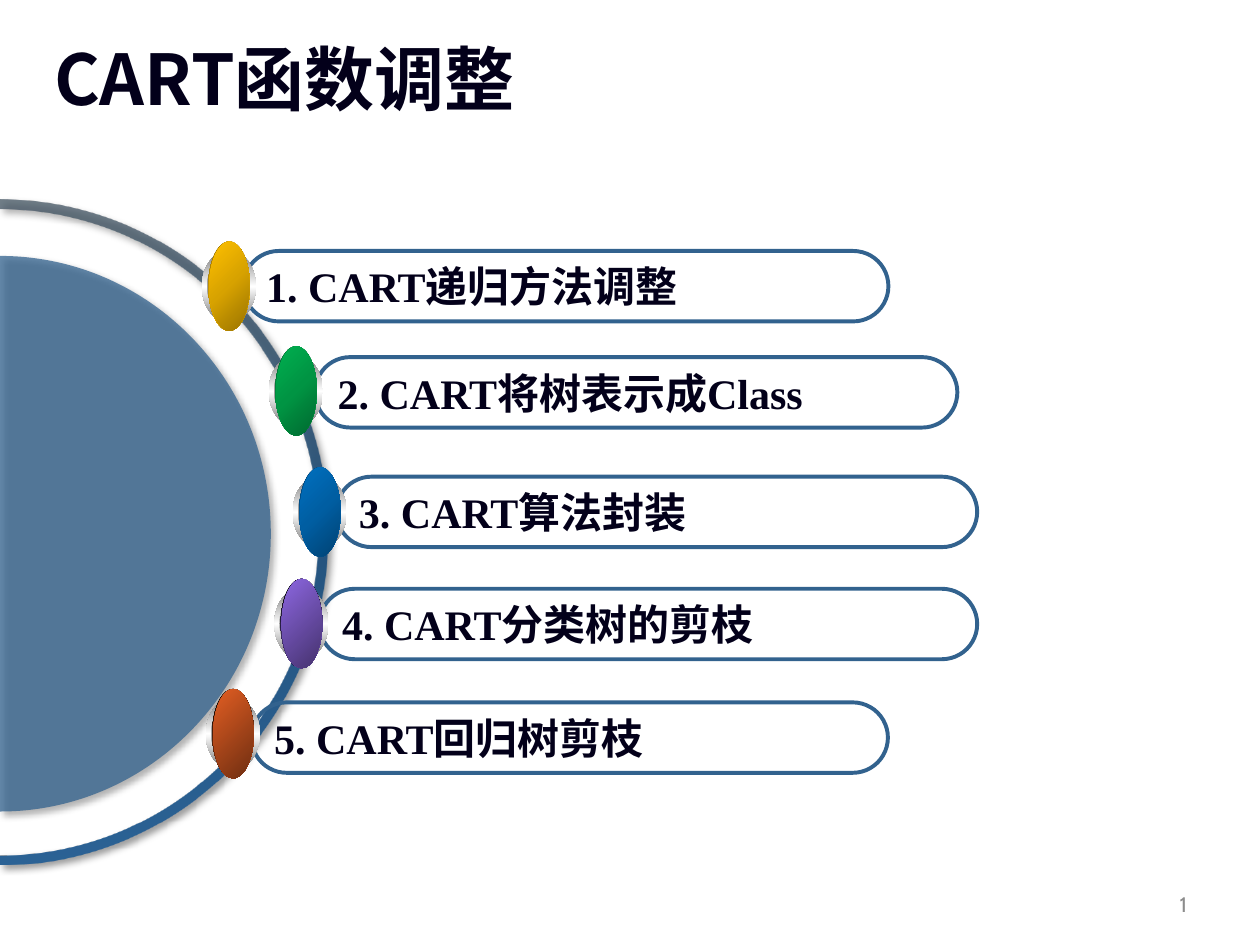
from lxml.etree import SubElement
from pptx import Presentation
from pptx.dml.color import RGBColor
from pptx.enum.shapes import MSO_SHAPE as SHAPE
from pptx.enum.text import MSO_ANCHOR as ANCHOR, PP_ALIGN as ALIGN
from pptx.oxml.ns import qn
from pptx.util import Cm, Pt

COLORS = {
    "text": "03001A", "number": "8C8C8C", "line": "32628E", "shadow": "000000",
    "ring_top": "445462", "ring_mid": "24537D", "ring_end": "2B6295",
    "rim": "767676", "bevel": "A2A2A2", "shine": "FFFFFF", "black": "000000",
}
CJK = "Noto Sans CJK SC"
SERIF = "Times New Roman"
KAPPA = 0.5523  # handle length of a quarter ellipse

# text, pill (left, top, width), knob (left, top), knob colours dark to bright
ITEMS = [
    ("1. CART递归方法调整", (4.91, 5.06, 13), (4.07, 5.05), ("977200", "D7A200", "FFC000")),
    ("2. CART将树表示成Class", (6.35, 7.2, 12.95), (5.42, 7.16), ("00682F", "009443", "00B050")),
    ("3. CART算法封装", (6.78, 9.61, 12.92), (5.9, 9.6), ("004272", "005EA2", "0070C0")),
    ("4. CART分类树的剪枝", (6.44, 11.87, 13.26), (5.53, 11.85), ("45326D", "8D67E1")),
    ("5. CART回归树剪枝", (5.07, 14.16, 12.83), (4.15, 14.07), ("6E2E11", "E35E23")),
]


def add_color(parent, color, alpha=100):
    clr = SubElement(parent, qn("a:srgbClr"), val=color)
    if alpha < 100:
        SubElement(clr, qn("a:alpha"), val=str(alpha * 1000))


def plain(sp):
    sp.shadow.inherit = False
    sp.fill.background()
    sp.line.fill.background()


def set_gradient(sp, colors, angle=None, alphas=(100, 100, 100)):
    """Spread colours evenly; without an angle they radiate from bottom right."""
    sp.fill.gradient()
    grad = sp._element.spPr.find(qn("a:gradFill"))
    for child in list(grad):
        grad.remove(child)
    stops = SubElement(grad, qn("a:gsLst"))
    for i, (color, alpha) in enumerate(zip(colors, alphas)):
        pos = 100000 * i // (len(colors) - 1)
        add_color(SubElement(stops, qn("a:gs"), pos=str(pos)), color, alpha)
    if angle is None:
        radial = SubElement(grad, qn("a:path"), path="circle")
        SubElement(radial, qn("a:fillToRect"), l="100000", t="100000")
    else:
        SubElement(grad, qn("a:lin"), ang=str(angle * 60000), scaled="0")


def add_shadow(sp):
    effects = sp._element.spPr.find(qn("a:effectLst"))
    outer = SubElement(effects, qn("a:outerShdw"), blurRad=str(Pt(4)), dist=str(Pt(3)),
                       dir=str(45 * 60000), algn="tl", rotWithShape="0")
    add_color(outer, COLORS["shadow"], 40)


def add_run(p, text, size, font, color, bold=False):
    r = p.add_run()
    r.text = text
    r.font.size, r.font.name, r.font.bold = Pt(size), font, bold
    r.font.color.rgb = RGBColor.from_string(color)
    SubElement(r._r.get_or_add_rPr(), qn("a:ea"), typeface=CJK)


def add_text(s, box, anchor):
    tf = s.shapes.add_textbox(*map(Cm, box)).text_frame
    tf.word_wrap = True
    tf.vertical_anchor = anchor
    return tf.paragraphs[0]


def half_arc(cy, rx, ry):
    """Corners of the right half of an ellipse centred on the slide's left edge."""
    return [(Cm(0), Cm(cy - ry)), (Cm(rx), Cm(cy)), (Cm(0), Cm(cy + ry))]


def add_outline(s, points):
    """Outline whose slanting sides bulge into quarter ellipses."""
    builder = s.shapes.build_freeform(*points[0])
    builder.add_line_segments(points[1:], close=True)
    sp = builder.convert_to_shape()
    plain(sp)
    add_shadow(sp)
    local = [(x - sp.left, y - sp.top) for x, y in points]
    sides = list(sp._element.iter(qn("a:lnTo")))
    for side, start, end in zip(sides, local, local[1:]):
        if start[0] == end[0]:
            continue
        corner = (max(start[0], end[0]), min(start, end)[1])
        handles = [tuple(a + KAPPA * (c - a) for a, c in zip(pt, corner)) for pt in (start, end)]
        side.tag = qn("a:cubicBezTo")
        side.remove(side[0])
        for x, y in handles + [end]:
            SubElement(side, qn("a:pt"), x=str(round(x)), y=str(round(y)))
    return sp


def add_pill(s, text, left, top, width):
    sp = s.shapes.add_shape(SHAPE.ROUNDED_RECTANGLE, Cm(left), Cm(top), Cm(width), Cm(1.42))
    sp.adjustments[0] = 0.5
    plain(sp)
    sp.line.color.rgb = RGBColor.from_string(COLORS["line"])
    sp.line.width = Pt(2.25)
    tf = sp.text_frame
    tf.word_wrap = True
    tf.vertical_anchor = ANCHOR.MIDDLE
    p = tf.paragraphs[0]
    p.alignment = ALIGN.LEFT
    add_run(p, text, 24, SERIF, COLORS["text"], bold=True)


def add_knob(s, left, top, colors):
    rim, bevel, shine = COLORS["rim"], COLORS["bevel"], COLORS["shine"]
    if len(colors) == 2:
        back, face, face_angle = (COLORS["black"], colors[1]), colors[::-1], 45
    else:
        back, face, face_angle = colors, colors, None
    layers = [
        (0, 0, 1.09, 1.45, (rim, shine, rim), 90),
        (0.1, 0.15, 0.86, 1.14, (bevel, shine, bevel), 0),
        (0.13, -0.18, 0.84, 1.8, back, 45),
        (0.15, -0.18, 0.81, 1.8, face, face_angle),
    ]
    group = s.shapes.add_group_shape()
    for dx, dy, w, h, fill, angle in layers:
        sp = group.shapes.add_shape(SHAPE.OVAL, Cm(left + dx), Cm(top + dy), Cm(w), Cm(h))
        plain(sp)
        set_gradient(sp, fill, angle)


def main():
    prs = Presentation()
    prs.slide_width, prs.slide_height = Cm(25.4), Cm(19.05)
    s = prs.slides.add_slide(prs.slide_layouts[6])

    # Page number and title
    p = add_text(s, (18.26, 17.71, 5.92, 1.02), ANCHOR.MIDDLE)
    p.alignment = ALIGN.RIGHT
    add_run(p, "1", 12, "Cabin", COLORS["number"])
    p = add_text(s, (0.84, 0.91, 22.86, 2.39), ANCHOR.TOP)
    p.line_spacing = 0.8
    add_run(p, "CART函数调整", 40, CJK, COLORS["text"], bold=True)

    # Half ring and half disc
    ring = add_outline(s, half_arc(10.73, 6.6, 6.7) + half_arc(10.73, 6.4, 6.5)[::-1])
    set_gradient(ring, [COLORS[k] for k in ("ring_top", "ring_mid", "ring_end")],
                 90, alphas=(75, 100, 100))
    disc = add_outline(s, half_arc(10.76, 5.46, 5.6))
    disc.fill.solid()
    disc.fill.fore_color.rgb = RGBColor.from_string(COLORS["line"])
    clr = disc._element.spPr.find(qn("a:solidFill")).find(qn("a:srgbClr"))
    SubElement(clr, qn("a:alpha"), val="75000")

    # Pills below, knobs on top
    for text, pill, _, _ in reversed(ITEMS):
        add_pill(s, text, *pill)
    for _, _, knob, colors in ITEMS:
        add_knob(s, *knob, colors)

    prs.save("out.pptx")


if __name__ == "__main__":
    main()
